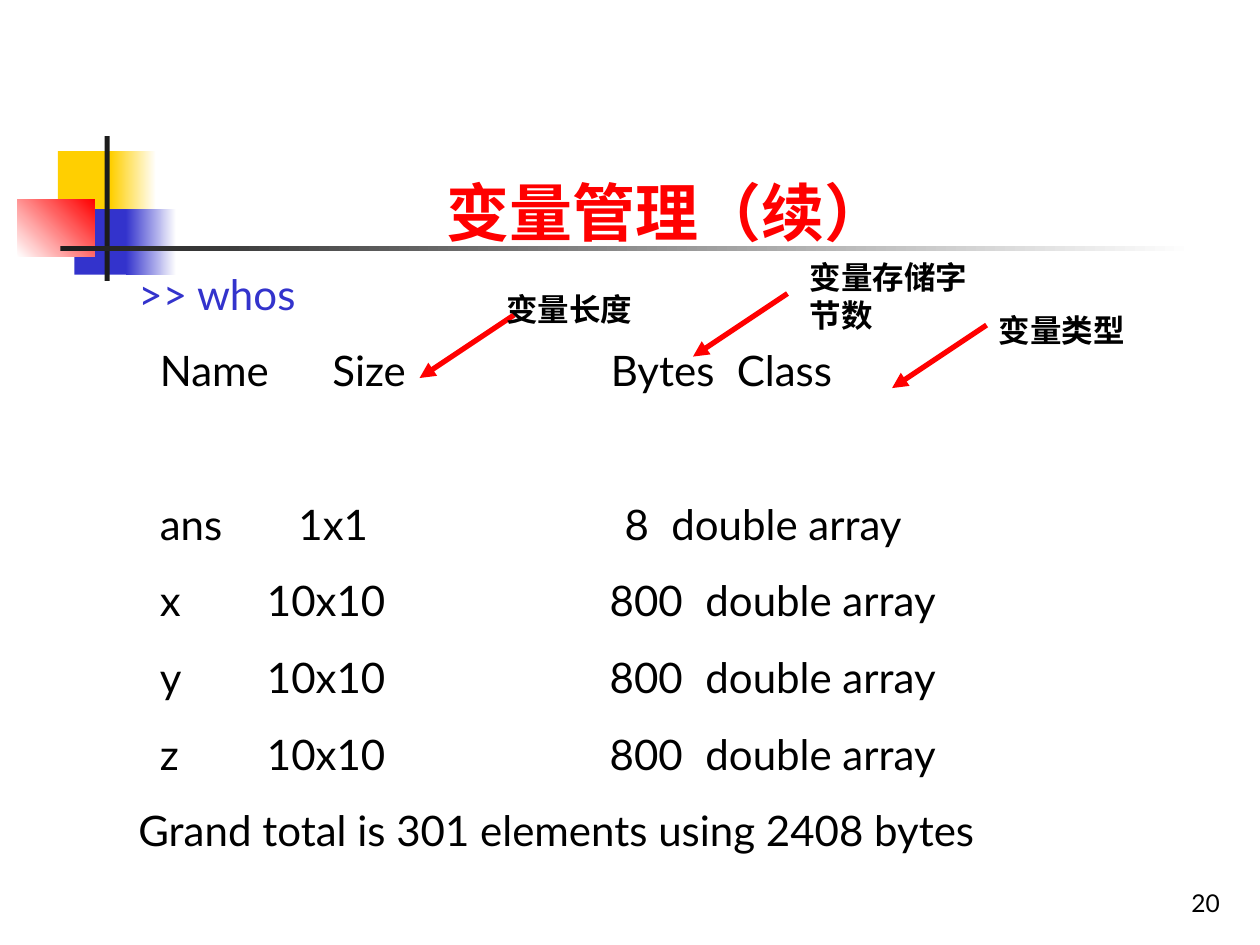
import pptx
import pptx.util
import pptx.dml.color
import pptx.enum.shapes
import pptx.enum.text
import pptx.oxml
import pptx.oxml.ns
from pptx.util import Inches, Pt

ALIGN = pptx.enum.text.PP_ALIGN
ANCHOR = pptx.enum.text.MSO_ANCHOR
RED, BLUE, YELLOW, BLACK, WHITE, DARK = (
    "FF0000", "3333CC", "FFCF01", "000000", "FFFFFF", "1C1C1C")

# Content
TITLE = "变量管理（续）"
PAGE = "20"
COMMAND = ">> whos"
TOTAL = "Grand total is 301 elements using 2408 bytes"
# cells, then the tab stop of each
SQUARE_STOPS = (0.17, 1.02, 3.74, 4.5)
VARIABLES = [
    (("Name", "Size", "Bytes", "Class"), (0.17, 1.54, 3.75, 4.75)),
    (("ans", "1x1", "8", "double array"), (0.17, 1.27, 3.86, 4.23)),
    (("x", "10x10", "800", "double array"), SQUARE_STOPS),
    (("y", "10x10", "800", "double array"), SQUARE_STOPS),
    (("z", "10x10", "800", "double array"), SQUARE_STOPS),
]
# label, its box, start of its arrow
NOTES = [
    ("变量长度", (3.92, 2.25, 1.58, 0.4), (4.08, 2.5)),
    ("变量存储字节数", (6.33, 2, 1.58, 0.7), (6.25, 2.33)),
    ("变量类型", (7.83, 2.42, 1.67, 0.4), (7.83, 2.58)),
]
ARROW_RUN, ARROW_DROP = -0.75, 0.5
# box, colours (two make a gradient), gradient angle
ORNAMENTS = [
    ((0.46, 1.2, 0.48, 0.52), (YELLOW,), 0),
    ((0.88, 1.2, 0.36, 0.52), (YELLOW, WHITE), 0),
    ((0.59, 1.66, 0.46, 0.52), (BLUE,), 0),
    ((1, 1.66, 0.4, 0.52), (BLUE, WHITE), 0),
    ((0.14, 1.58, 0.61, 0.46), (WHITE, RED), 45),
    ((0.83, 1.08, 0.04, 1.15), (DARK,), 0),
    ((0.48, 1.95, 9, 0.04), (DARK, WHITE), 0),
]
LINE_PITCH = 43.8  # one 24 pt line with its 15 pt gap


def rgb(value):
    return pptx.dml.color.RGBColor.from_string(value)


def apply(target, values):
    for name, value in values.items():
        setattr(target, name, value)


def write(paragraph, text, size, color, bold=False, **layout):
    run = paragraph.add_run()
    run.text = text
    apply(run.font, {"name": "Lato", "size": Pt(size), "bold": bold})
    run.font.color.rgb = rgb(color)
    apply(paragraph, layout)


def prepare(frame, anchor=ANCHOR.TOP):
    apply(frame, {
        "word_wrap": True, "vertical_anchor": anchor,
        "auto_size": pptx.enum.text.MSO_AUTO_SIZE.NONE,
        "margin_left": Inches(0.1), "margin_right": Inches(0.1),
        "margin_top": Inches(0.05), "margin_bottom": Inches(0.05)})
    return frame


def text_box(slide, box, anchor=ANCHOR.TOP):
    return prepare(slide.shapes.add_textbox(*map(Inches, box)).text_frame, anchor)


def add_ornament(slide, box, colors, angle):
    block = slide.shapes.add_shape(
        pptx.enum.shapes.MSO_SHAPE.RECTANGLE, *map(Inches, box))
    block.shadow.inherit = False
    block.line.fill.background()
    if len(colors) == 1:
        block.fill.solid()
        block.fill.fore_color.rgb = rgb(colors[0])
        return
    block.fill.gradient()
    block.fill.gradient_angle = angle
    for position, (stop, color) in enumerate(zip(block.fill.gradient_stops, colors)):
        stop.position = position
        stop.color.rgb = rgb(color)


def add_arrow(slide, start):
    x, y = start
    arrow = slide.shapes.add_connector(
        pptx.enum.shapes.MSO_CONNECTOR.STRAIGHT,
        *map(Inches, (x, y, x + ARROW_RUN, y + ARROW_DROP)))
    arrow.line.width = Pt(3)
    arrow.line.color.rgb = rgb(RED)
    head = pptx.oxml.parse_xml(
        f'<a:tailEnd {pptx.oxml.ns.nsdecls("a")} type="triangle"/>')
    arrow.line._get_or_add_ln().append(head)
    arrow._element.spPr.append(pptx.oxml.parse_xml(
        f'<a:effectLst {pptx.oxml.ns.nsdecls("a")}/>'))


def set_columns(paragraph, stops):
    tabs = "".join(f'<a:tab pos="{Inches(stop)}" algn="l"/>' for stop in stops)
    paragraph._p.get_or_add_pPr().append(pptx.oxml.parse_xml(
        f'<a:tabLst {pptx.oxml.ns.nsdecls("a")}>{tabs}</a:tabLst>'))


def main():
    deck = pptx.Presentation()
    apply(deck, {"slide_width": Inches(10), "slide_height": Inches(7.5)})
    slide = deck.slides.add_slide(deck.slide_layouts[5])

    # Corner ornament and rule
    for ornament in ORNAMENTS:
        add_ornament(slide, *ornament)

    # Title
    title = slide.shapes.title
    apply(title, {"left": Inches(1.42), "top": Inches(1.33),
                  "width": Inches(7.75), "height": Inches(0.7)})
    write(prepare(title.text_frame).paragraphs[0], TITLE, 36, RED, True,
          alignment=ALIGN.CENTER)

    # Listing of variables
    listing = text_box(slide, (1, 2.08, 8.58, 5.37))
    write(listing.paragraphs[0], COMMAND, 24, BLUE, space_before=Pt(15))
    for row, (cells, stops) in enumerate(VARIABLES):
        line = listing.add_paragraph()
        gap = 15 + (LINE_PITCH if row == 1 else 0)  # space under the header
        write(line, "\t" + "\t".join(cells), 24, BLACK, space_before=Pt(gap))
        set_columns(line, stops)
    write(listing.add_paragraph(), TOTAL, 24, BLACK, space_before=Pt(15))

    # Column notes with arrows
    for label, box, start in NOTES:
        add_arrow(slide, start)
        write(text_box(slide, box).paragraphs[0], label, 18, BLACK, True)

    # Page number
    page = text_box(slide, (7.7, 6.83, 2.08, 0.5), ANCHOR.BOTTOM)
    write(page.paragraphs[0], PAGE, 14, BLACK, alignment=ALIGN.RIGHT)

    deck.save("out.pptx")


if __name__ == "__main__":
    main()
